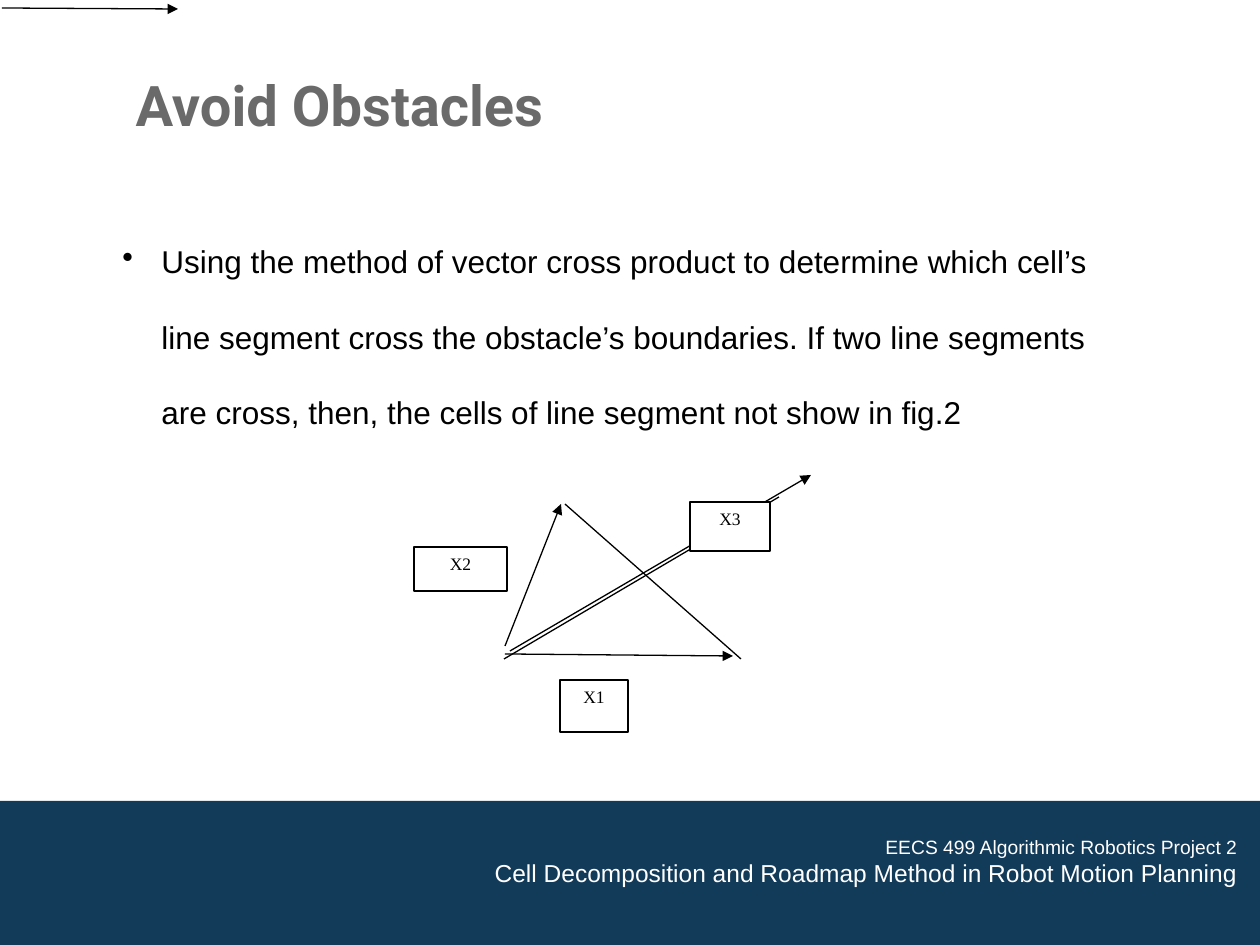
from pptx import Presentation
from pptx.dml.color import RGBColor
from pptx.enum.shapes import MSO_CONNECTOR as Connector, MSO_SHAPE as Preset
from pptx.enum.text import MSO_ANCHOR as Anchor, MSO_AUTO_SIZE as AutoSize, PP_ALIGN as Align
from pptx.oxml.ns import qn
from pptx.util import Pt
from lxml.etree import SubElement

SCALE = 914400 / 126
COLORS = {"navy": "123A59", "gray": "6A6A6A", "black": "000000", "white": "FFFFFF"}
BODY = (
    "Using the method of vector cross product to determine which cell’s "
    "line segment cross the obstacle’s boundaries. If two line segments "
    "are cross, then, the cells of line segment not show in fig.2"
)
FOOTER = [
    ("EECS 499 Algorithmic Robotics Project 2", 11),
    ("Cell Decomposition and Roadmap Method in Robot Motion Planning", 14),
]
SEGMENTS = [
    ((565, 504), (741, 659), False),
    ((504, 659), (779, 497), False),
    ((505, 654), (733, 656), True),
    ((505, 646), (561, 504), True),
    ((510, 651), (811, 475), True),
]
LABELS = [
    ("X1", (560, 680, 68, 52)),
    ("X2", (414, 547, 93, 44)),
    ("X3", (690, 502, 80, 49)),
]


def px(*lengths):
    """Turn pixel lengths into EMU."""
    return [round(length * SCALE) for length in lengths]


def color(name):
    """Look up a named colour."""
    return RGBColor.from_string(COLORS[name])


def style(para, family, size, ink, align=Align.LEFT, bold=False):
    """Set the font and alignment of a paragraph."""
    para.alignment = align
    font = para.font
    font.name, font.size, font.bold = family, Pt(size), bold
    font.color.rgb = color(ink)


def add_rectangle(shapes, box, fill, outline=None):
    """Add a flat rectangle, outlined if a colour is given."""
    shape = shapes.add_shape(Preset.RECTANGLE, *px(*box))
    shape.shadow.inherit = False
    shape.fill.solid()
    shape.fill.fore_color.rgb = color(fill)
    if outline:
        shape.line.color.rgb = color(outline)
        shape.line.width = Pt(0.75)
    else:
        shape.line.fill.background()
    return shape


def add_segment(shapes, start, end, arrow):
    """Add a thin black line, with an arrowhead at its end on request."""
    segment = shapes.add_connector(Connector.STRAIGHT, *px(*start, *end))
    segment.line.color.rgb = color("black")
    segment.line.width = Pt(0.75)
    if arrow:
        SubElement(segment.line._get_or_add_ln(), qn("a:tailEnd"), type="triangle")
    SubElement(segment._element.spPr, qn("a:effectLst"))


def add_label(shapes, text, box):
    """Add a boxed vector name."""
    frame = add_rectangle(shapes, box, "white", "black").text_frame
    frame.vertical_anchor = Anchor.TOP
    frame.text = text
    style(frame.paragraphs[0], "Times New Roman", 10, "black", Align.CENTER)


def add_text_frame(shapes, box):
    """Add a wrapping text box that grows with its text."""
    frame = shapes.add_textbox(*px(*box)).text_frame
    frame.word_wrap = True
    frame.auto_size = AutoSize.SHAPE_TO_FIT_TEXT
    return frame


def add_footer(shapes):
    """Add the navy band with its right-aligned course lines."""
    add_rectangle(shapes, (0, 801, 1260, 144), "navy")
    frame = add_text_frame(shapes, (445, 829, 805, 66))
    frame.text = "\n".join(text for text, size in FOOTER)
    for para, (text, size) in zip(frame.paragraphs, FOOTER):
        style(para, "Arial", size, "white", Align.RIGHT)


def set_title(title, text):
    """Place and format the title placeholder."""
    title.left, title.top, title.width, title.height = px(123, 64, 953, 108)
    frame = title.text_frame
    frame.text = text
    frame.vertical_anchor = Anchor.TOP
    frame.auto_size = AutoSize.NONE
    frame.margin_bottom = 0
    style(frame.paragraphs[0], "Roboto", 32, "gray", bold=True)


def add_body(shapes):
    """Add the double-spaced bullet."""
    frame = add_text_frame(shapes, (110, 198, 1041, 310))
    frame.text = BODY
    para = frame.paragraphs[0]
    style(para, "Arial", 18, "black")
    para.line_spacing = 2.0
    indent = px(39)[0]
    props = para._p.get_or_add_pPr()
    props.set("marL", str(indent))
    props.set("indent", str(-indent))
    bullet = SubElement(props, qn("a:buChar"), char="•")
    props.find(qn("a:defRPr")).addprevious(bullet)


def add_diagram(shapes):
    """Add the grouped vectors and their labels."""
    group = shapes.add_group_shape()
    for start, end, arrow in SEGMENTS:
        add_segment(group.shapes, start, end, arrow)
    for text, box in LABELS:
        add_label(group.shapes, text, box)


def main():
    """Build and save the slide."""
    deck = Presentation()
    deck.slide_width, deck.slide_height = px(1260, 945)
    page = deck.slides.add_slide(deck.slide_layouts[5])
    add_footer(page.shapes)
    set_title(page.shapes.title, "Avoid Obstacles")
    add_body(page.shapes)
    add_segment(page.shapes, (2, 8), (178, 9), True)
    add_diagram(page.shapes)
    deck.save("out.pptx")


if __name__ == "__main__":
    main()
